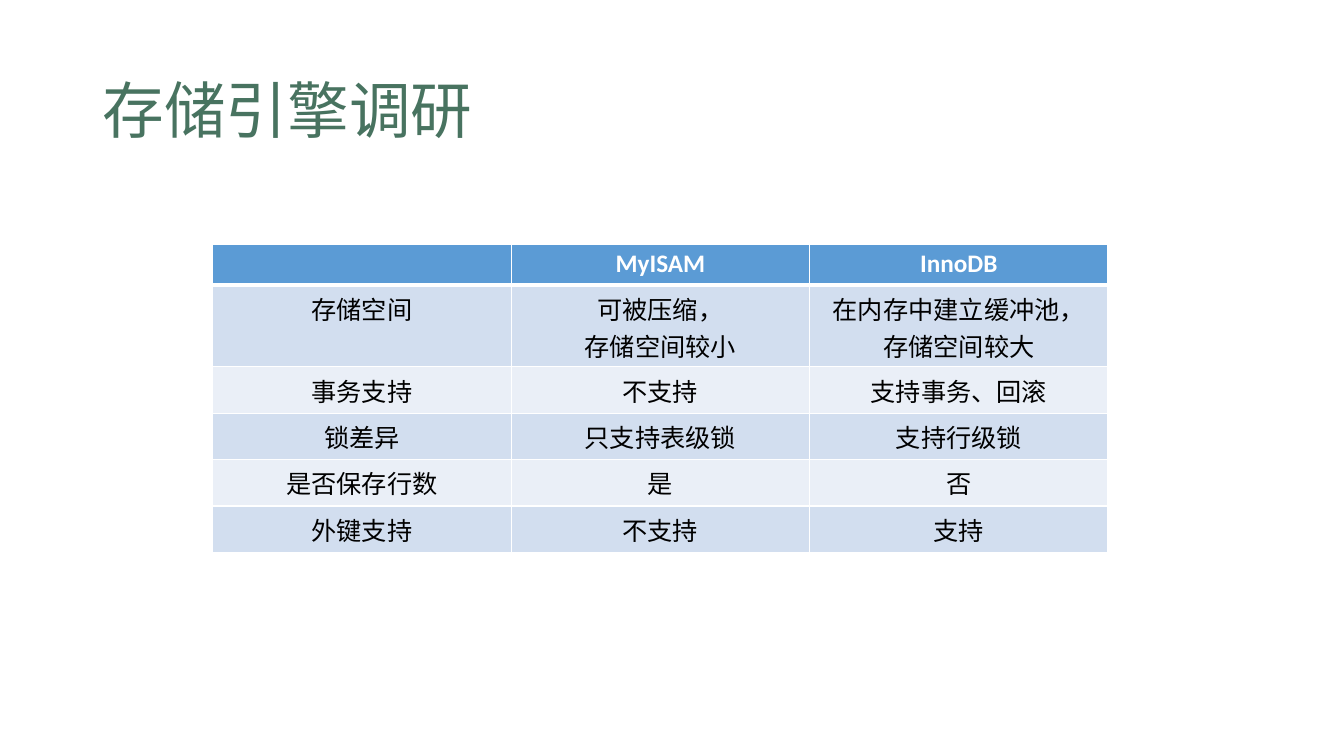
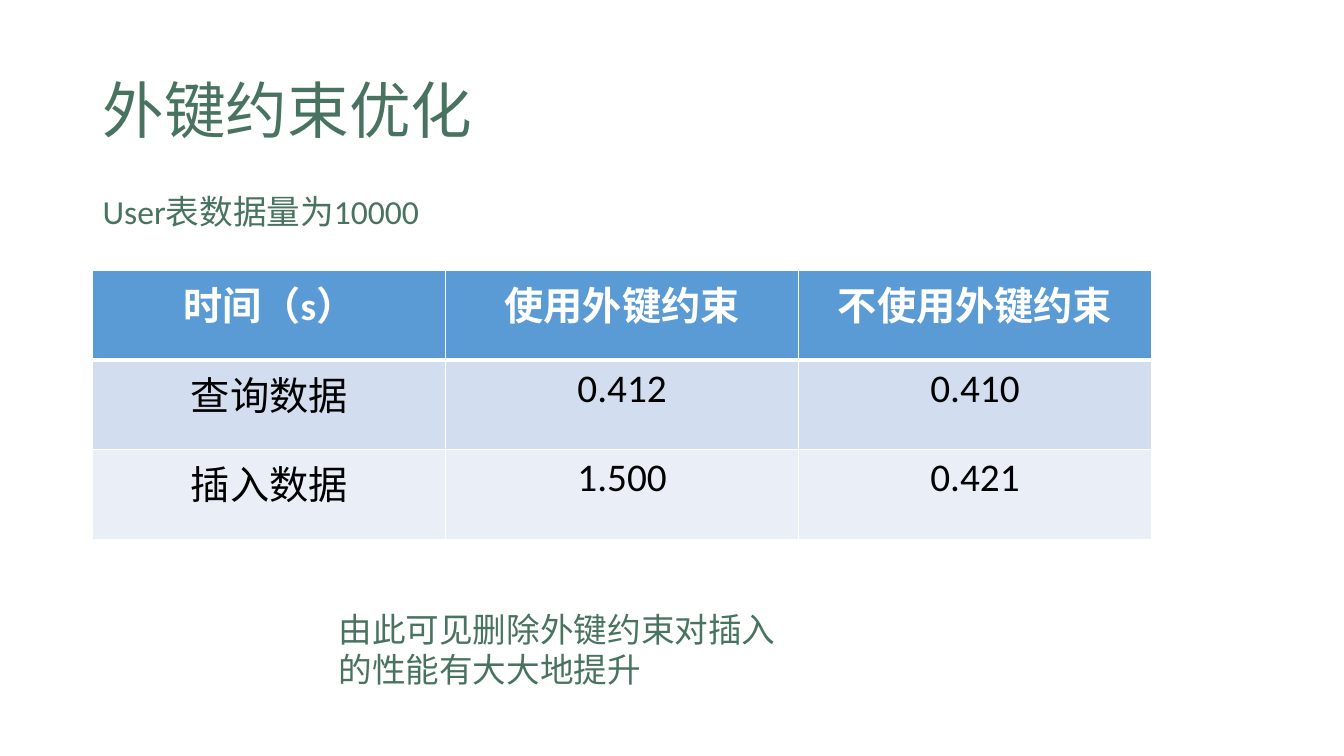
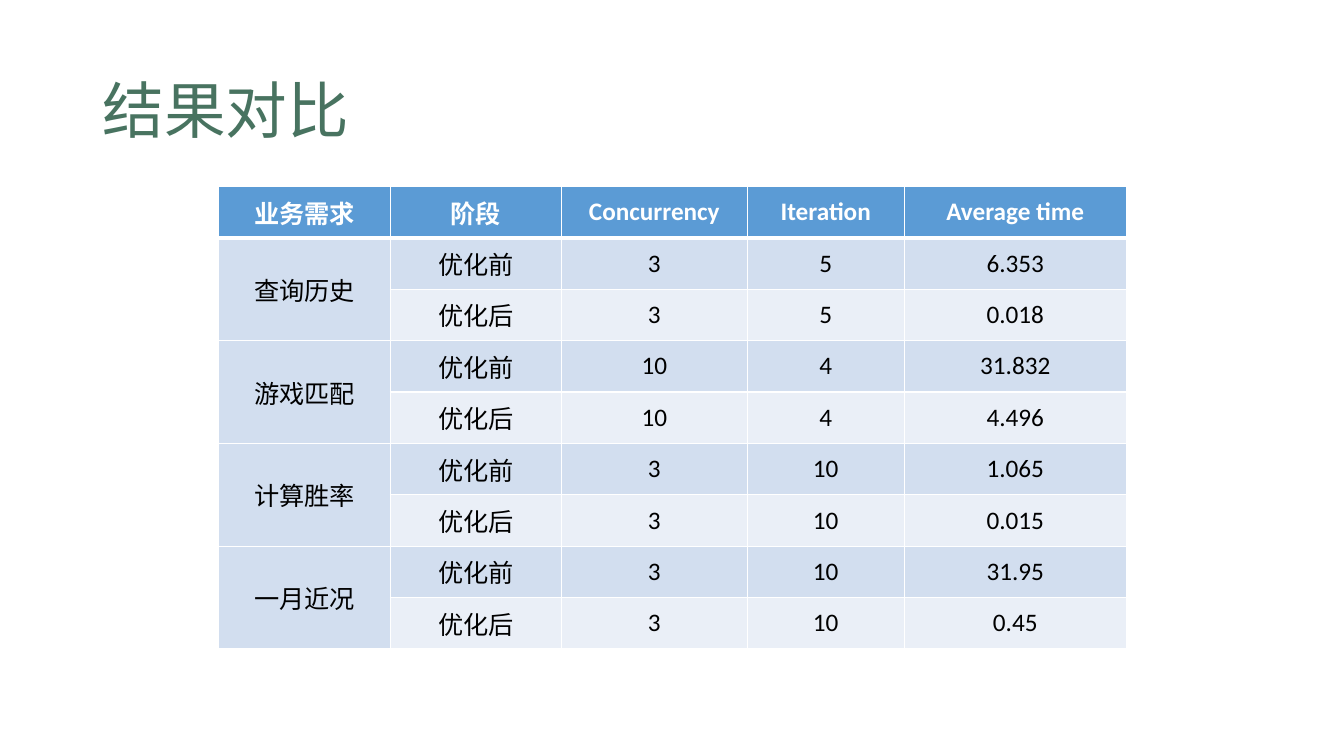
"""Build three slides that compare database storage engines and optimisation results."""
import lxml.etree
import pptx
import pptx.dml.color
import pptx.enum.text
import pptx.oxml.ns
import pptx.util

Inches = pptx.util.Inches
RGBColor = pptx.dml.color.RGBColor
Alignment = pptx.enum.text.PP_ALIGN
Anchor = pptx.enum.text.MSO_ANCHOR

FONT = "Calibri"
GREEN = RGBColor(0x48, 0x73, 0x60)
HEADER_BLUE = RGBColor(0x5B, 0x9B, 0xD5)
BAND_DARK = RGBColor(0xD2, 0xDE, 0xEF)
BAND_LIGHT = RGBColor(0xEA, 0xEF, 0xF7)
WHITE = RGBColor(0xFF, 0xFF, 0xFF)
BLACK = RGBColor(0x00, 0x00, 0x00)

ENGINE_ROWS = [
    ["", "MyISAM", "InnoDB"],
    ["存储空间", "可被压缩，\n存储空间较小", "在内存中建立缓冲池，\n存储空间较大"],
    ["事务支持", "不支持", "支持事务、回滚"],
    ["锁差异", "只支持表级锁", "支持行级锁"],
    ["是否保存行数", "是", "否"],
    ["外键支持", "不支持", "支持"],
]
FOREIGN_KEY_ROWS = [
    ["时间（s）", "使用外键约束", "不使用外键约束"],
    ["查询数据", "0.412", "0.410"],
    ["插入数据", "1.500", "0.421"],
]
RESULT_HEADER = ["业务需求", "阶段", "Concurrency", "Iteration", "Average time"]
RESULTS = [
    ("查询历史", "3", "5", "6.353", "0.018"),
    ("游戏匹配", "10", "4", "31.832", "4.496"),
    ("计算胜率", "3", "10", "1.065", "0.015"),
    ("一月近况", "3", "10", "31.95", "0.45"),
]


def write_text(text_frame, text, *, size, color=GREEN, bold=False,
               alignment=Alignment.LEFT, line_spacing=None):
    text_frame.text = text
    for paragraph in text_frame.paragraphs:
        paragraph.alignment = alignment
        paragraph.line_spacing = line_spacing
        for run in paragraph.runs:
            run.font.name = FONT
            run.font.size = pptx.util.Pt(size)
            run.font.bold = bold
            run.font.color.rgb = color


def add_text(slide, text, left, top, width, height, *, anchor=Anchor.TOP, **text_format):
    box = slide.shapes.add_textbox(Inches(left), Inches(top), Inches(width), Inches(height))
    box.text_frame.word_wrap = True
    box.text_frame.vertical_anchor = anchor
    write_text(box.text_frame, text, **text_format)


def add_titled_slide(presentation, title):
    slide = presentation.slides.add_slide(presentation.slide_layouts[6])
    add_text(slide, title, 0.92, 0.4, 11.5, 1.45,
             anchor=Anchor.MIDDLE, size=44, line_spacing=0.9)
    return slide


def set_cell_borders(cell, widths):
    properties = cell._tc.get_or_add_tcPr()
    for side, width in widths.items():
        line = lxml.etree.SubElement(properties, pptx.oxml.ns.qn(f"a:ln{side}"),
                                     w=str(pptx.util.Pt(width)))
        fill = lxml.etree.SubElement(line, pptx.oxml.ns.qn("a:solidFill"))
        lxml.etree.SubElement(fill, pptx.oxml.ns.qn("a:srgbClr"), val=str(WHITE))


def style_cell(cell, text, is_header, fill_color, size, anchor):
    borders = {"L": 1, "R": 1, "T": 1, "B": 3} if is_header else {"L": 1, "R": 1, "B": 1}
    set_cell_borders(cell, borders)
    cell.fill.solid()
    cell.fill.fore_color.rgb = fill_color
    cell.vertical_anchor = anchor
    write_text(cell.text_frame, text, size=size, bold=is_header,
               color=WHITE if is_header else BLACK, alignment=Alignment.CENTER)


def add_table(slide, rows, left, top, column_widths, row_heights, *, size, anchor=Anchor.TOP):
    table = slide.shapes.add_table(
        len(rows), len(column_widths), Inches(left), Inches(top),
        Inches(sum(column_widths)), Inches(sum(row_heights))).table
    for column, width in zip(table.columns, column_widths):
        column.width = Inches(width)
    for row_index, (row, height) in enumerate(zip(rows, row_heights)):
        table.rows[row_index].height = Inches(height)
        band_color = BAND_DARK if row_index % 2 else BAND_LIGHT
        fill_color = band_color if row_index else HEADER_BLUE
        for column_index, text in enumerate(row):
            style_cell(table.cell(row_index, column_index), text,
                       row_index == 0, fill_color, size, anchor)
    return table


def add_engine_slide(presentation):
    slide = add_titled_slide(presentation, "存储引擎调研")
    add_table(slide, ENGINE_ROWS, 2.11, 2.42, [2.96] * 3,
              [0.41, 0.81] + [0.46] * 4, size=18)


def add_foreign_key_slide(presentation):
    slide = add_titled_slide(presentation, "外键约束优化")
    add_text(slide, "User表数据量为10000", 0.92, 1.84, 3.81, 0.5, size=24)
    add_text(slide, "由此可见删除外键约束对插入的性能有大大地提升",
             3.26, 5.99, 4.77, 0.91, size=24)
    add_table(slide, FOREIGN_KEY_ROWS, 0.92, 2.68, [3.5] * 3, [0.89] * 3, size=28)


def add_result_slide(presentation):
    slide = add_titled_slide(presentation, "结果对比")
    rows = [RESULT_HEADER]
    for task, concurrency, iteration, before, after in RESULTS:
        rows.append([task, "优化前", concurrency, iteration, before])
        rows.append(["", "优化后", concurrency, iteration, after])
    table = add_table(slide, rows, 2.17, 1.85, [1.7, 1.7, 1.84, 1.56, 2.2],
                      [0.51] * len(rows), size=18, anchor=Anchor.MIDDLE)
    for row_index in range(1, len(rows), 2):
        table.cell(row_index, 0).merge(table.cell(row_index + 1, 0))


def main():
    presentation = pptx.Presentation()
    presentation.slide_width = Inches(13.33)
    presentation.slide_height = Inches(7.5)
    add_engine_slide(presentation)
    add_foreign_key_slide(presentation)
    add_result_slide(presentation)
    presentation.save("out.pptx")


if __name__ == "__main__":
    main()
